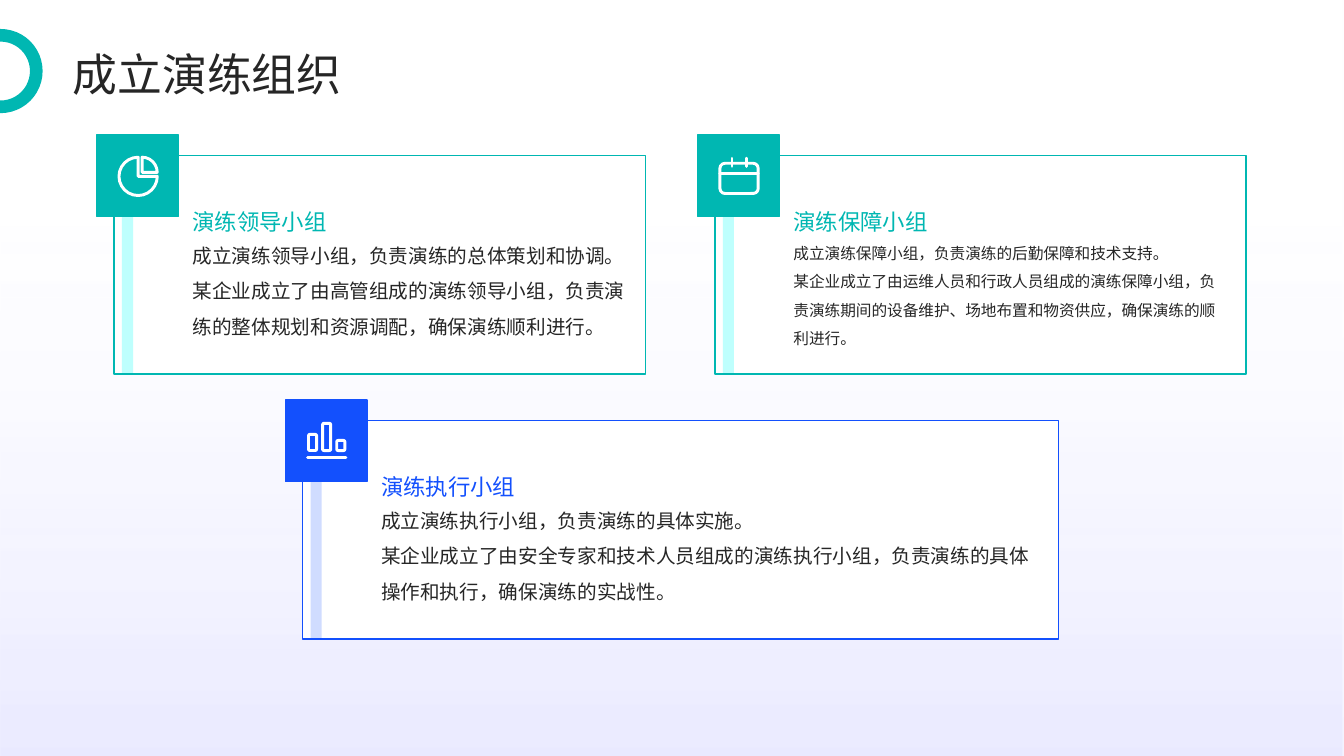
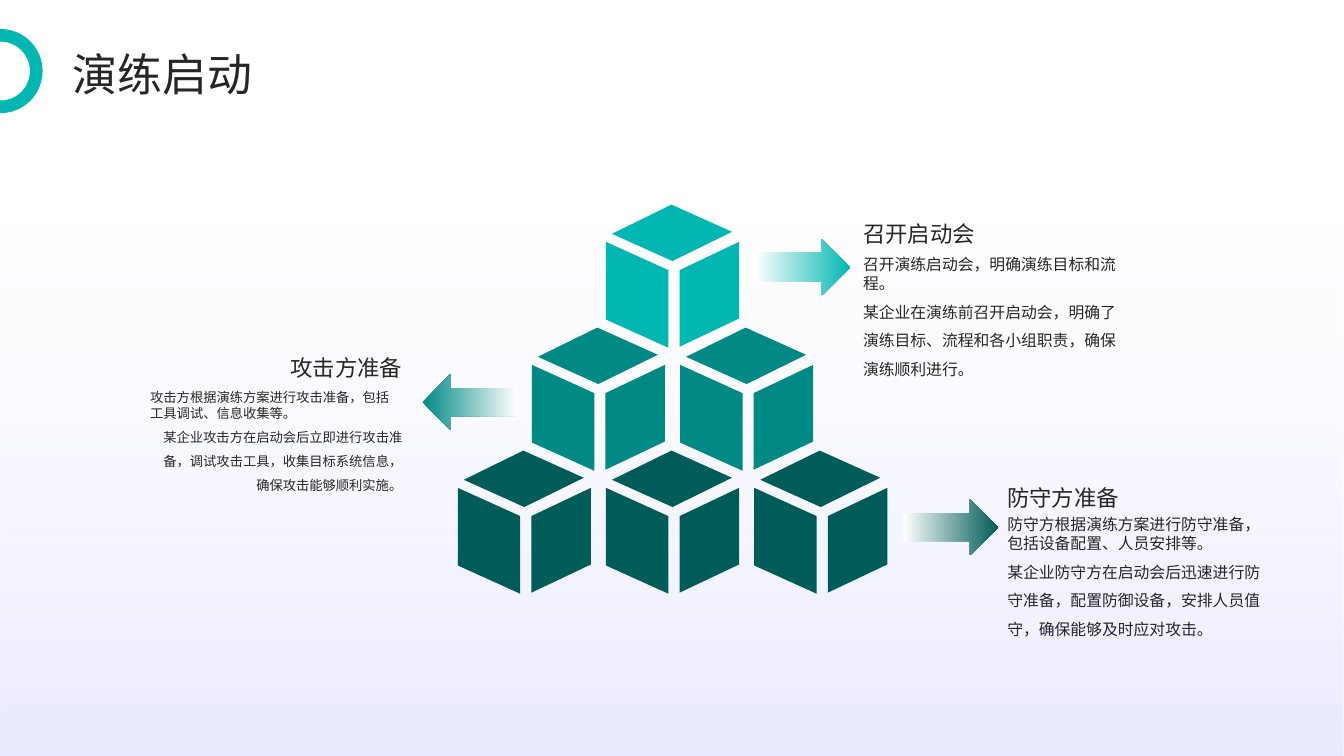
from dataclasses import dataclass

from lxml.etree import SubElement
from pptx import Presentation
from pptx.dml.color import RGBColor
from pptx.enum.shapes import MSO_CONNECTOR, MSO_SHAPE as Shape
from pptx.enum.text import MSO_ANCHOR as Anchor, PP_ALIGN as Align
from pptx.oxml.ns import qn
from pptx.util import Inches, Pt


@dataclass(frozen=True)
class Theme:
    font: str = "Noto Sans CJK SC"
    ink: str = "262626"
    white: str = "FFFFFF"
    teal: str = "00B7B2"
    teal_mid: str = "008985"
    teal_dark: str = "005C59"
    teal_pale: str = "BEFFFD"
    blue: str = "1350FD"
    blue_pale: str = "D0DCFF"
    haze_top: str = "BCBCFF"
    haze_bottom: str = "7979FF"
    title_size: float = 32
    heading_size: float = 16
    icon_line: float = 2.1


# Faces of one cube, in inches from the corner of its bounding box
CUBE_FACES = (
    ((0.06, 0.29), (0.65, 0), (1.25, 0.27), (0.66, 0.56)),
    ((0.62, 0.65), (0, 0.37), (0, 1.14), (0.62, 1.42)),
    ((0.73, 0.65), (0.73, 1.41), (1.32, 1.13), (1.32, 0.37)),
)


class Deck:
    def __init__(self, theme):
        self.theme = theme
        self.prs = Presentation()
        self.prs.slide_width, self.prs.slide_height = Inches(13.33), Inches(7.5)
        self.slide = None

    def new_slide(self, title):
        t = self.theme
        self.slide = self.prs.slides.add_slide(self.prs.slide_layouts[6])
        haze = self.shape(Shape.RECTANGLE, 0, 0, 13.33, 7.5)
        self.gradient(haze, (0.29, t.haze_top), (1, t.haze_bottom), angle=270)
        colors = haze.element.spPr.iter(qn("a:srgbClr"))
        for color, opacity in zip(colors, (0, 15000)):
            SubElement(color, qn("a:alpha")).set("val", str(opacity))
        self.shape(Shape.OVAL, -0.35, 0.35, 0.71, 0.71, line=t.teal, weight=9)
        self.text(title, 0.72, 0.47, 11.88, 0.47, t.title_size,
                  spacing=1.1, anchor=Anchor.MIDDLE)

    def style(self, shape, fill=None, line=None, weight=1):
        shape.shadow.inherit = False
        if fill:
            shape.fill.solid()
            shape.fill.fore_color.rgb = RGBColor.from_string(fill)
        else:
            shape.fill.background()
        if line:
            shape.line.color.rgb = RGBColor.from_string(line)
            shape.line.width = Pt(weight)
        else:
            shape.line.fill.background()
        return shape

    def shape(self, kind, x, y, w, h, **look):
        box = (Inches(v) for v in (x, y, w, h))
        return self.style(self.slide.shapes.add_shape(kind, *box), **look)

    def gradient(self, shape, *stops, angle=0):
        shape.fill.gradient()
        shape.fill.gradient_angle = angle
        for stop, (position, color) in zip(shape.fill.gradient_stops, stops):
            stop.position = position
            stop.color.rgb = RGBColor.from_string(color)

    def text(self, content, x, y, w, h, size, color=None, spacing=1.0,
             anchor=Anchor.TOP, align=Align.LEFT):
        """Only the last paragraph takes the line spacing and alignment."""
        box = (Inches(v) for v in (x, y, w, h))
        frame = self.slide.shapes.add_textbox(*box).text_frame
        frame.word_wrap = True
        frame.vertical_anchor = anchor
        frame.margin_left = frame.margin_right = 0
        frame.margin_top = frame.margin_bottom = 0
        frame.text = content
        for paragraph in frame.paragraphs:
            for run in paragraph.runs:
                run.font.size = Pt(size)
                run.font.color.rgb = RGBColor.from_string(color or self.theme.ink)
                run.font.name = self.theme.font
                east_asian = SubElement(run.font._element, qn("a:ea"))
                east_asian.set("typeface", self.theme.font)
        frame.paragraphs[-1].line_spacing = spacing
        frame.paragraphs[-1].alignment = align

    def heading(self, content, x, y, w, h, color=None, align=Align.LEFT):
        self.text(content, x, y, w, h, self.theme.heading_size, color,
                  1.3, Anchor.BOTTOM, align)

    def icon_part(self, kind, x, y, w, h):
        return self.shape(kind, x, y, w, h, line=self.theme.white,
                          weight=self.theme.icon_line)

    def icon_stroke(self, x1, y1, x2, y2):
        ends = (Inches(v) for v in (x1, y1, x2, y2))
        stroke = self.slide.shapes.add_connector(MSO_CONNECTOR.STRAIGHT, *ends)
        stroke.line.color.rgb = RGBColor.from_string(self.theme.white)
        stroke.line.width = Pt(self.theme.icon_line)
        stroke.line._get_or_add_ln().set("cap", "rnd")
        SubElement(stroke._element.spPr, qn("a:effectLst"))

    def pie_icon(self, x, y):
        self.icon_part(Shape.PIE, x + 0.22, y + 0.22, 0.38, 0.38)
        quarter = self.icon_part(Shape.PIE, x + 0.3, y + 0.22, 0.3, 0.3)
        quarter.adjustments[0] = 162
        quarter.adjustments[1] = 0

    def calendar_icon(self, x, y):
        self.icon_part(Shape.ROUNDED_RECTANGLE, x + 0.22, y + 0.28, 0.38, 0.3)
        self.icon_stroke(x + 0.22, y + 0.38, x + 0.6, y + 0.38)
        for ring in (0.34, 0.48):
            self.icon_stroke(x + ring, y + 0.23, x + ring, y + 0.31)

    def bars_icon(self, x, y):
        for i, height in enumerate((0.16, 0.27, 0.1)):
            self.icon_part(Shape.ROUNDED_RECTANGLE, x + 0.23 + 0.14 * i,
                           y + 0.5 - height, 0.08, height)
        self.icon_stroke(x + 0.22, y + 0.57, x + 0.6, y + 0.57)

    def card(self, x, y, width, heading, body, size, color, pale, icon):
        """Draw a framed card whose badge has its corner at x, y."""
        self.shape(Shape.RECTANGLE, x + 0.17, y + 0.2, width, 2.17,
                   fill=self.theme.white, line=color)
        self.shape(Shape.RECTANGLE, x + 0.25, y + 0.19, 0.11, 2.17, fill=pale)
        self.text(body, x + 0.95, y + 1.08, width - 0.94, 1.22, size, spacing=1.5)
        self.heading(heading, x + 0.95, y + 0.25, width - 0.94, 0.74, color)
        self.shape(Shape.RECTANGLE, x, y, 0.81, 0.81, fill=color, line=color)
        icon(x, y)

    def cube(self, x, y, color):
        faces = [[(Inches(x + dx), Inches(y + dy)) for dx, dy in face]
                 for face in CUBE_FACES]
        builder = self.slide.shapes.build_freeform(*faces[0][0])
        for face in faces:
            if face is not faces[0]:
                builder.move_to(*face[0])
            builder.add_line_segments(face[1:], close=True)
        self.style(builder.convert_to_shape(), fill=color)

    def arrow(self, x, y, color, to_left=False):
        kind = Shape.LEFT_ARROW if to_left else Shape.RIGHT_ARROW
        ends = [color, self.theme.white] if to_left else [self.theme.white, color]
        self.gradient(self.shape(kind, x, y, 0.94, 0.56), *zip((0, 1), ends))

    def note(self, x, width, heading_bottom, body_top, heading, body, size,
             align=Align.LEFT):
        self.heading(heading, x, heading_bottom - 0.76, width, 0.76, align=align)
        self.text(body, x, body_top, width, 1.26, size, spacing=1.5, align=align)


def organisation_slide(deck):
    t = deck.theme
    deck.new_slide("成立演练组织")
    deck.card(0.96, 1.34, 5.27, "演练领导小组",
              "成立演练领导小组，负责演练的总体策划和协调。\n"
              "某企业成立了由高管组成的演练领导小组，负责演练的整体规划和资源调配，"
              "确保演练顺利进行。",
              14, t.teal, t.teal_pale, deck.pie_icon)
    deck.card(6.92, 1.34, 5.27, "演练保障小组",
              "成立演练保障小组，负责演练的后勤保障和技术支持。\n"
              "某企业成立了由运维人员和行政人员组成的演练保障小组，负责演练期间的"
              "设备维护、场地布置和物资供应，确保演练的顺利进行。",
              11.2, t.teal, t.teal_pale, deck.calendar_icon)
    deck.card(2.83, 3.97, 7.5, "演练执行小组",
              "成立演练执行小组，负责演练的具体实施。\n"
              "某企业成立了由安全专家和技术人员组成的演练执行小组，负责演练的具体"
              "操作和执行，确保演练的实战性。",
              14, t.blue, t.blue_pale, deck.bars_icon)


def launch_slide(deck):
    t = deck.theme
    deck.new_slide("演练启动")
    for row, color in enumerate((t.teal, t.teal_mid, t.teal_dark)):
        for i in range(row + 1):
            deck.cube(6.01 + 1.47 * (i - row / 2), 2.03 + 1.22 * row, color)
    deck.arrow(7.49, 2.37, t.teal)
    deck.arrow(4.19, 3.71, t.teal_mid, to_left=True)
    deck.arrow(8.96, 4.95, t.teal_dark)
    deck.note(9.99, 2.61, 5.07, 5.11, "防守方准备",
              "防守方根据演练方案进行防守准备，包括设备配置、人员安排等。\n"
              "某企业防守方在启动会后迅速进行防守准备，配置防御设备，安排人员值守，"
              "确保能够及时应对攻击。", 11.3)
    deck.note(8.56, 2.61, 2.45, 2.53, "召开启动会",
              "召开演练启动会，明确演练目标和流程。\n"
              "某企业在演练前召开启动会，明确了演练目标、流程和各小组职责，"
              "确保演练顺利进行。", 11.3)
    deck.note(1.49, 2.5, 3.78, 3.86, "攻击方准备",
              "攻击方根据演练方案进行攻击准备，包括工具调试、信息收集等。\n"
              "某企业攻击方在启动会后立即进行攻击准备，调试攻击工具，"
              "收集目标系统信息，确保攻击能够顺利实施。", 9.5, Align.RIGHT)


def main():
    deck = Deck(Theme())
    organisation_slide(deck)
    launch_slide(deck)
    deck.prs.save("out.pptx")


if __name__ == "__main__":
    main()
